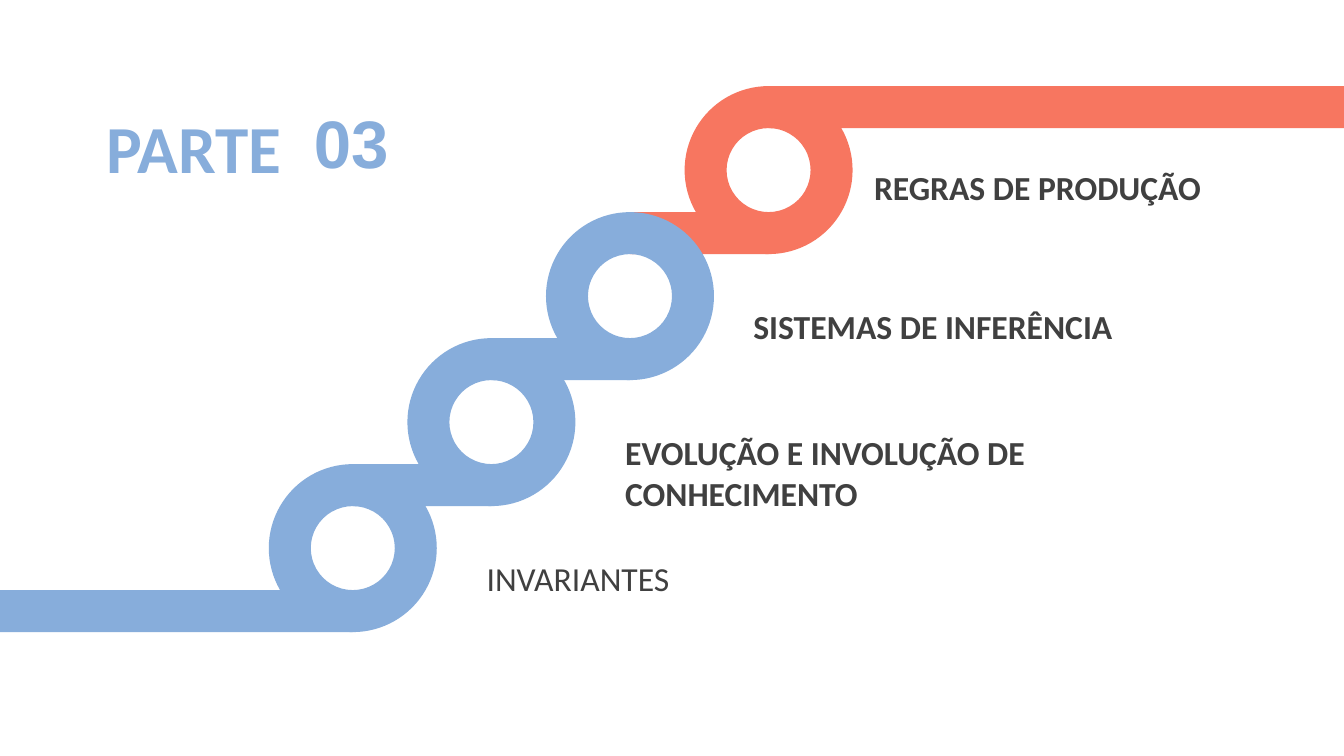
from pptx import Presentation
from pptx.dml.color import RGBColor
from pptx.enum.shapes import MSO_SHAPE
from pptx.enum.text import MSO_ANCHOR, PP_ALIGN
from pptx.util import Pt

PX = 9525
WIDTH, HEIGHT = 1280, 720
BLUE = RGBColor(0x87, 0xAD, 0xDB)
CORAL = RGBColor(0xF7, 0x76, 0x60)
DARK = RGBColor(0x40, 0x40, 0x40)
RING, BAND = 160, 40
STEP_X, STEP_Y = 132, 120

# Topic, ring colour, bold, label offset from the ring's right and top, label width and height
TOPICS = [
    ("REGRAS DE PRODUÇÃO", CORAL, True, (11, 72, 432, 48)),
    ("SISTEMAS DE INFERÊNCIA", BLUE, True, (28, 85, 547, 48)),
    ("EVOLUÇÃO E INVOLUÇÃO DE CONHECIMENTO", BLUE, True, (38, 85, 475, 87)),
    ("INVARIANTES", BLUE, False, (38, 85, 749, 48)),
]


def add_solid(page, kind, box, color):
    """Add a flat shape without outline in the given box."""
    shape = page.shapes.add_shape(kind, *(length * PX for length in box))
    shape.shadow.inherit = False
    shape.fill.solid()
    shape.fill.fore_color.rgb = color
    shape.line.fill.background()
    return shape


def add_label(page, box, text, size, color, bold=True, font="Calibri"):
    """Add a one-paragraph wrapped text box and return it."""
    label = page.shapes.add_textbox(*(length * PX for length in box))
    label.text_frame.word_wrap = True
    para = label.text_frame.paragraphs[0]
    para.text = text
    para.font.name = font
    para.font.size = Pt(size)
    para.font.bold = bold
    para.font.color.rgb = color
    return label


def add_heading(page, left, top):
    """Place the part name and its number."""
    name = add_label(page, (left, top + 4, 427, 87), "PARTE", 48, BLUE)
    name.text_frame.vertical_anchor = MSO_ANCHOR.MIDDLE
    number = add_label(page, (left + 192, top, 101, 87), "03", 48, BLUE, font="Arial")
    number.text_frame.paragraphs[0].alignment = PP_ALIGN.CENTER


def add_staircase(page, left, top):
    """Draw the descending rings, their bands and labels from the top ring's corner."""
    center = left + RING // 2
    add_solid(page, MSO_SHAPE.RECTANGLE, (center, top, WIDTH - center, BAND), CORAL)
    for index, (topic, color, bold, offsets) in enumerate(TOPICS):
        ring_left = left - index * STEP_X
        ring_top = top + index * STEP_Y
        ring_center = ring_left + RING // 2
        is_last = index == len(TOPICS) - 1
        band_left = 0 if is_last else ring_center - STEP_X
        band_box = (band_left, ring_top + RING - BAND, ring_center - band_left, BAND)
        add_solid(page, MSO_SHAPE.RECTANGLE, band_box, color)
        ring = add_solid(page, MSO_SHAPE.DONUT, (ring_left, ring_top, RING, RING), color)
        ring.adjustments[0] = BAND / RING
        across, down, width, height = offsets
        label_box = (ring_left + RING + across, ring_top + down, width, height)
        add_label(page, label_box, topic, 24, DARK, bold)


def main():
    """Build the section slide and save it."""
    deck = Presentation()
    deck.slide_width, deck.slide_height = WIDTH * PX, HEIGHT * PX
    page = deck.slides.add_slide(deck.slide_layouts[6])
    add_staircase(page, 652, 82)
    add_heading(page, 92, 92)
    deck.save("out.pptx")


if __name__ == "__main__":
    main()
